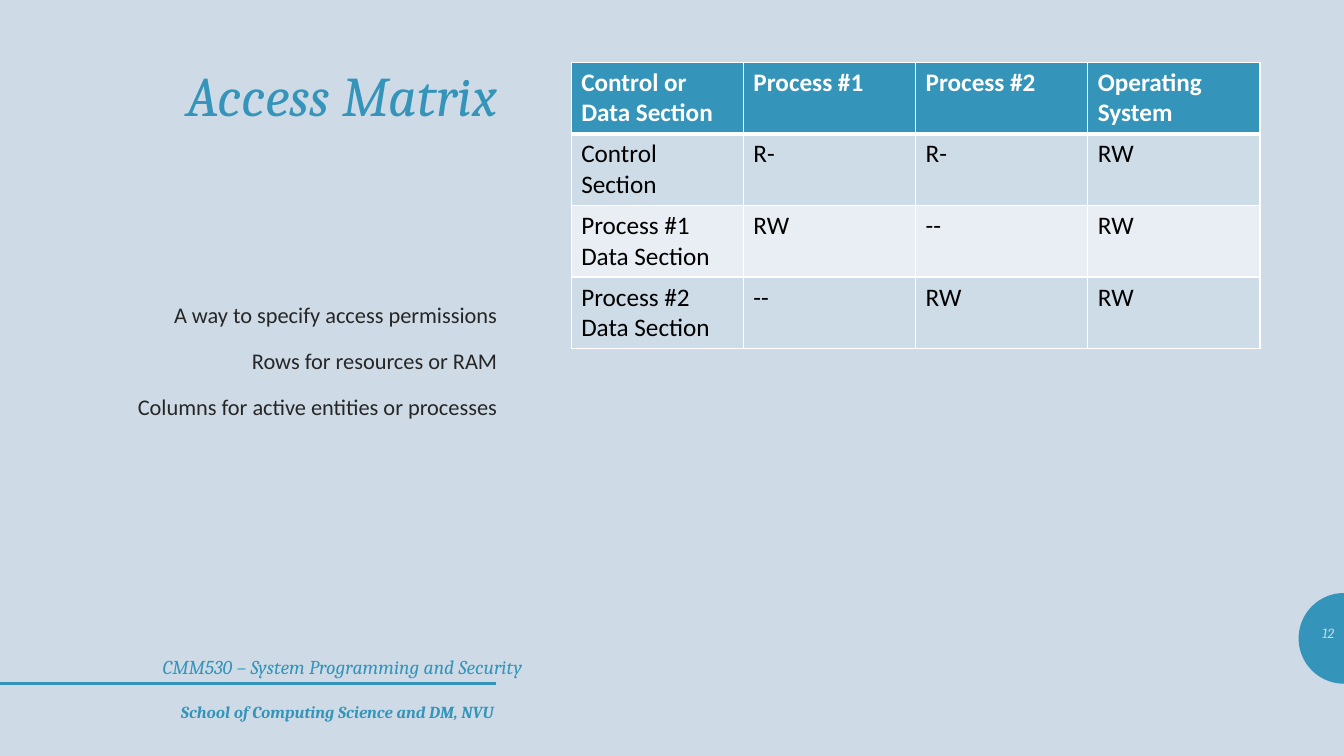
import math
from lxml import etree
from pptx import Presentation, util as u
from pptx.dml.color import RGBColor
from pptx.enum import shapes, text
from pptx.oxml import ns

TEAL = RGBColor(0x34, 0x94, 0xBA)
PALE = RGBColor(0xCE, 0xDB, 0xE6)
BAND_DARK = RGBColor(0xCE, 0xDC, 0xE7)
BAND_LIGHT = RGBColor(0xE8, 0xEE, 0xF3)
WHITE = RGBColor(0xFF, 0xFF, 0xFF)
BLACK = RGBColor(0, 0, 0)
CHARCOAL = RGBColor(0x26, 0x26, 0x26)

COLS, ROWS = 160, 90
UNIT = u.Inches(1 / 12)

HEADING = "Access Matrix"
POINTS = [
    "A way to specify access permissions",
    "Rows for resources or RAM",
    "Columns for active entities or processes",
]
MATRIX = [
    ["Control or Data Section", "Process #1", "Process #2", "Operating System"],
    ["Control Section", "R-", "R-", "RW"],
    ["Process #1 Data Section", "RW", "--", "RW"],
    ["Process #2 Data Section", "--", "RW", "RW"],
]


def grid(*counts):
    return [round(n * UNIT) for n in counts]


def place(sp, box):
    sp.left, sp.top, sp.width, sp.height = grid(*box)


def add_run(p, words, size, font, color, bold=False, italic=False):
    r = p.add_run()
    r.text = words
    r.font.size = u.Pt(size)
    r.font.name = font
    r.font.color.rgb = color
    r.font.bold = bold
    r.font.italic = italic


def setup_frame(tf, anchor=text.MSO_ANCHOR.TOP):
    tf.word_wrap = True
    tf.auto_size = text.MSO_AUTO_SIZE.NONE
    tf.vertical_anchor = anchor


def add_label(s, box, words, size, color, bold=False, anchor=text.MSO_ANCHOR.TOP):
    tf = s.shapes.add_textbox(*grid(*box)).text_frame
    setup_frame(tf, anchor)
    p = tf.paragraphs[0]
    p.alignment = text.PP_ALIGN.RIGHT
    add_run(p, words, size, "Cambria", color, bold, True)


def add_title(s, box):
    sp = s.shapes.title
    place(sp, box)
    setup_frame(sp.text_frame)
    p = sp.text_frame.paragraphs[0]
    p.alignment = text.PP_ALIGN.RIGHT
    p.line_spacing = 0.93
    add_run(p, HEADING, 40, "Cambria", TEAL, italic=True)


def add_points(s, box):
    sp = s.placeholders[1]
    place(sp, box)
    tf = sp.text_frame
    setup_frame(tf)
    for i, words in enumerate(POINTS):
        p = tf.add_paragraph() if i else tf.paragraphs[0]
        p.alignment = text.PP_ALIGN.RIGHT
        p.line_spacing = 1.25
        p.space_before = u.Pt(9)
        pPr = p._p.get_or_add_pPr()
        pPr.set("marL", "0")
        pPr.set("indent", "0")
        etree.SubElement(pPr, ns.qn("a:buNone"))
        add_run(p, words, 16, "Calibri", CHARCOAL)


def set_borders(cell, top, bottom):
    tcPr = cell._tc.get_or_add_tcPr()
    for i, (side, width) in enumerate([("L", 1), ("R", 1), ("T", top), ("B", bottom)]):
        ln = etree.Element(ns.qn(f"a:ln{side}"), w=str(u.Pt(width)))
        fill = etree.SubElement(ln, ns.qn("a:solidFill"))
        etree.SubElement(fill, ns.qn("a:srgbClr"), val=str(WHITE))
        tcPr.insert(i, ln)


def add_matrix(s, box):
    table = s.shapes.add_table(len(MATRIX), len(MATRIX[0]), *grid(*box)).table
    table.horz_banding = False
    for i, row in enumerate(MATRIX):
        header = i == 0
        for j, words in enumerate(row):
            cell = table.cell(i, j)
            cell.fill.solid()
            cell.fill.fore_color.rgb = TEAL if header else BAND_DARK if i % 2 else BAND_LIGHT
            set_borders(cell, 3 if i == 1 else 1, 3 if header else 1)
            color = WHITE if header else BLACK
            add_run(cell.text_frame.paragraphs[0], words, 18, "Calibri", color, header)


def add_footer(s, box):
    left, top, width, height = box
    rule_y = top + 4
    line = s.shapes.add_connector(
        shapes.MSO_CONNECTOR.STRAIGHT, *grid(left, rule_y, left + width, rule_y))
    line.line.color.rgb = TEAL
    line.line.width = u.Pt(2)
    etree.SubElement(line._element.spPr, ns.qn("a:effectLst"))
    add_label(s, (left + 4.6, top, 58.8, 4.8),
              "CMM530 – System Programming and Security", 14, TEAL)
    add_label(s, (left + 10, top + 5.5, 50, 4.8),
              "School of Computing Science and DM, NVU", 12, TEAL, True)


def add_page_number(s, box):
    left, top, radius, height = box
    right, middle = left + radius, top + height / 2
    steps = 48
    arc = []
    for k in range(steps + 1):
        angle = math.pi * k / steps
        arc.append(grid(right - radius * math.sin(angle), middle - radius * math.cos(angle)))
    outline = s.shapes.build_freeform(*arc[0])
    outline.add_line_segments(arc[1:], close=True)
    sp = outline.convert_to_shape()
    sp.shadow.inherit = False
    sp.fill.solid()
    sp.fill.fore_color.rgb = TEAL
    sp.line.fill.background()
    add_label(s, (left, top + 1.8, radius, 6), "12", 10, PALE,
              anchor=text.MSO_ANCHOR.MIDDLE)


def main():
    prs = Presentation()
    prs.slide_width, prs.slide_height = grid(COLS, ROWS)
    s = prs.slides.add_slide(prs.slide_layouts[1])
    s.background.fill.solid()
    s.background.fill.fore_color.rgb = PALE
    add_title(s, (10, 7.3, 50.4, 25.2))
    add_points(s, (10, 34.4, 50.4, 42.5))
    add_matrix(s, (68, 7.4, 82, 33.6))
    add_footer(s, (0, 77.4, 59, 10.3))
    add_page_number(s, (COLS - 5.4, 70.6, 5.4, 10.8))
    prs.save("out.pptx")


if __name__ == "__main__":
    main()
